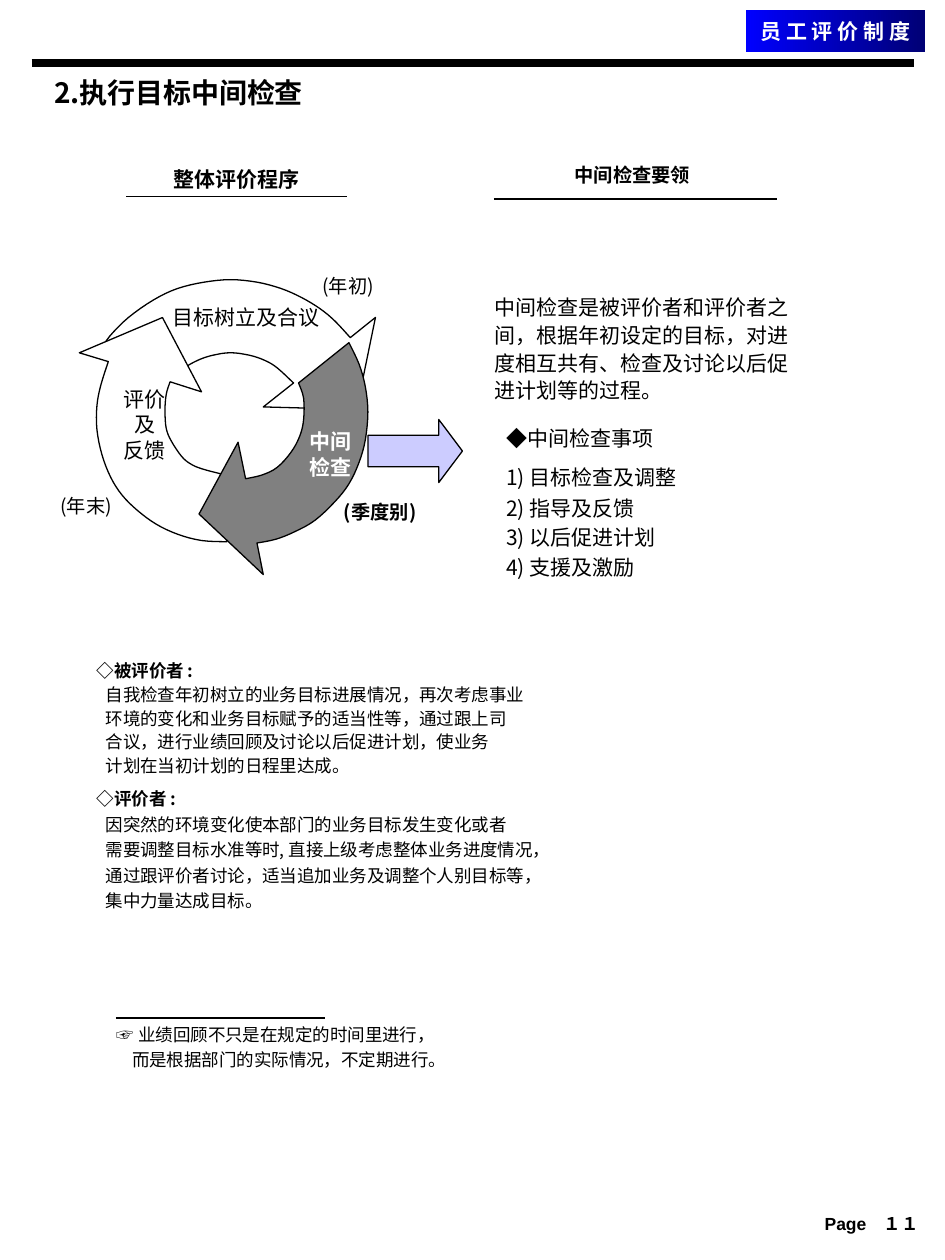
from lxml.etree import SubElement
from pptx import Presentation
from pptx.dml.color import RGBColor
from pptx.enum.shapes import MSO_CONNECTOR, MSO_SHAPE
from pptx.enum.text import MSO_ANCHOR, MSO_AUTO_SIZE, PP_ALIGN
from pptx.oxml.ns import qn
from pptx.util import Inches, Pt

THEME = {
    "cjk": "Noto Sans CJK KR", "badge_font": "Noto Sans CJK SC", "latin": "Arial",
    "black": "000000", "white": "FFFFFF", "gray": "808080", "lilac": "CCCCFF",
    "navy": "000075", "blue": "0000FF",
    "title": 16, "body": 12, "label": 11, "note": 10,
    "hair": 0.75, "thin": 1, "thick": 4.5,
}
ALIGN = {"l": PP_ALIGN.LEFT, "c": PP_ALIGN.CENTER, "r": PP_ALIGN.RIGHT}

TITLE = "2.执行目标中间检查"
BADGE = "员 工 评 价 制 度"

RULES = [
    (0.25, 0.5, 7.25, "thick"),
    (1, 1.56, 2.75, "hair"),
    (3.92, 1.58, 6.17, "thin"),
    (0.92, 8.08, 2.58, "hair"),
]

GOAL_SETTING = {
    "outer": [(2.78, 2.68), (2.66, 2.55), (2.54, 2.45), (2.39, 2.36), (2.23, 2.29),
              (2.04, 2.24), (1.83, 2.22), (1.62, 2.24), (1.41, 2.29), (1.22, 2.38),
              (1.02, 2.52), (0.87, 2.67), (0.8, 2.78)],
    "head": [(1.13, 2.65)],
    "inner": [(1.35, 3.03), (1.45, 2.93), (1.57, 2.86), (1.69, 2.82), (1.83, 2.8),
              (1.98, 2.82), (2.1, 2.86), (2.2, 2.92), (2.33, 3.04)],
    "tail": [(2.09, 3.23), (2.83, 3.25), (2.98, 2.52)],
    "fill": None,
}
FEEDBACK = {
    "outer": [(1.8, 4.3), (1.6, 4.29), (1.41, 4.24), (1.24, 4.16), (1.09, 4.05),
              (0.97, 3.93), (0.88, 3.79), (0.81, 3.61), (0.77, 3.41), (0.77, 3.22),
              (0.8, 3.06), (0.86, 2.87)],
    "head": [(0.63, 2.8), (1.29, 2.52), (1.6, 3.11)],
    "inner": [(1.35, 3.03), (1.32, 3.13), (1.31, 3.26), (1.32, 3.4), (1.36, 3.5),
              (1.44, 3.62), (1.51, 3.68), (1.6, 3.72), (1.75, 3.76)],
    "tail": [],
    "fill": "white",
}
MID_CHECK = {
    "outer": [(2.77, 2.72), (2.85, 2.89), (2.9, 3.07), (2.92, 3.27), (2.9, 3.49),
              (2.85, 3.67), (2.77, 3.84), (2.66, 3.98), (2.5, 4.13), (2.34, 4.22),
              (2.19, 4.28), (2.04, 4.31)],
    "head": [(2.09, 4.56), (1.58, 4.08), (1.89, 3.51)],
    "inner": [(1.95, 3.8), (2.08, 3.77), (2.2, 3.71), (2.31, 3.59), (2.38, 3.46),
              (2.41, 3.33), (2.41, 3.16), (2.37, 3.04)],
    "tail": [],
    "fill": "gray",
}

STAGES = [
    ((1.5, 2.28, 0.91, 0.47), ["目标树立及合议"], {}),
    ((0.65, 3.08, 1, 0.58), ["评价", "及", "反馈"], {}),
    ((2.17, 3.37, 0.9, 0.47), ["中间", "检查"], {"color": "white", "bold": True}),
]

CAPTIONS = [
    ((1.1, 1.27, 1.56, 0.3), "整体评价程序", {"size": "body", "bold": True, "align": "c"}),
    ((3.92, 1.25, 2.2, 0.29), "中间检查要领", {"size": "label", "bold": True, "align": "c"}),
    ((2.46, 2.13, 0.73, 0.29), "(年初)", {"size": "label", "wrap": False}),
    ((0.38, 3.87, 0.73, 0.29), "(年末)", {"size": "label", "wrap": False}),
    ((2.63, 3.92, 0.88, 0.29), "(季度别)", {"size": "label", "bold": True, "wrap": False}),
    ((5.83, 9.58, 1.56, 0.25), "Page　１１",
     {"size": "note", "bold": True, "align": "r", "font": "latin"}),
]

INTRO = "中间检查是被评价者和评价者之间，根据年初设定的目标，对进度相互共有、检查及讨论以后促进计划等的过程。"
CHECK_ITEMS = [
    ("◆中间检查事项", 1),
    ("1) 目标检查及调整", 1),
    ("2) 指导及反馈", 0.7),
    ("3) 以后促进计划", 0.6),
    ("4) 支援及激励", 0.7),
]
ROLES = [
    ("◇被评价者 :", 0.6, [
        "自我检查年初树立的业务目标进展情况，再次考虑事业",
        "环境的变化和业务目标赋予的适当性等，通过跟上司",
        "合议，进行业绩回顾及讨论以后促进计划，使业务",
        "计划在当初计划的日程里达成。"]),
    ("◇评价者 :", 0.7, [
        "因突然的环境变化使本部门的业务目标发生变化或者",
        "需要调整目标水准等时, 直接上级考虑整体业务进度情况，",
        "通过跟评价者讨论，适当追加业务及调整个人别目标等，",
        "集中力量达成目标。"]),
]
FOOTNOTE = [
    ("☞ 业绩回顾不只是在规定的时间里进行，", 1, 0),
    ("而是根据部门的实际情况，不定期进行。", 0.6, 0.12),
]


def rgb(name):
    return RGBColor.from_string(THEME[name])


def write(tf, lines, size="body", color="black", bold=False, align="l",
          font="cjk", wrap=True, before=0, anchor=MSO_ANCHOR.TOP):
    tf.word_wrap = wrap
    tf.auto_size = MSO_AUTO_SIZE.NONE
    tf.vertical_anchor = anchor
    tf.margin_left = tf.margin_right = Inches(0.1)
    tf.margin_top = tf.margin_bottom = Inches(0.05)
    for i, line in enumerate(lines):
        p = tf.add_paragraph() if i else tf.paragraphs[0]
        p.alignment = ALIGN[align]
        p.line_spacing = line.get("spacing", 1)
        p.space_before = Pt(before if i else 0)
        if line.get("indent"):
            p._p.get_or_add_pPr().set("marL", str(Inches(line["indent"])))
        r = p.add_run()
        r.text = line["text"]
        r.font.size = Pt(THEME[size])
        r.font.bold = line.get("bold", bold)
        r.font.color.rgb = rgb(color)
        r.font.name = THEME[font]
        SubElement(r._r.get_or_add_rPr(), qn("a:ea")).set("typeface", THEME[font])


def add_text(s, box, lines, **style):
    write(s.shapes.add_textbox(*map(Inches, box)).text_frame, lines, **style)


def paint(sp, fill=None, line=None):
    sp.shadow.inherit = False
    if fill:
        sp.fill.solid()
        sp.fill.fore_color.rgb = rgb(fill)
    else:
        sp.fill.background()
    if line:
        sp.line.color.rgb = rgb(line)
        sp.line.width = Pt(THEME["hair"])
    else:
        sp.line.fill.background()


def add_rule(s, x1, y, x2, weight):
    ln = s.shapes.add_connector(MSO_CONNECTOR.STRAIGHT, *map(Inches, (x1, y, x2, y)))
    ln.line.color.rgb = rgb("black")
    ln.line.width = Pt(THEME[weight])
    SubElement(ln._element.spPr, qn("a:effectLst"))


def smooth(pts, steps=4):
    ends = [pts[0], *pts, pts[-1]]
    curve = []
    for a, b, c, d in zip(ends, ends[1:], ends[2:], ends[3:]):
        for t in (k / steps for k in range(steps)):
            curve.append(tuple(
                (2 * q + (r - p) * t + (2 * p - 5 * q + 4 * r - u) * t ** 2
                 + (3 * q - p - 3 * r + u) * t ** 3) / 2
                for p, q, r, u in zip(a, b, c, d)))
    return curve + [pts[-1]]


def add_arc(s, arc):
    pts = smooth(arc["outer"]) + arc["head"] + smooth(arc["inner"]) + arc["tail"]
    pts = [(Inches(x), Inches(y)) for x, y in pts]
    fb = s.shapes.build_freeform(*pts[0])
    fb.add_line_segments(pts[1:], close=True)
    paint(fb.convert_to_shape(), arc["fill"], "black")


def main():
    prs = Presentation()
    prs.slide_width, prs.slide_height = Inches(7.5), Inches(10)
    s = prs.slides.add_slide(prs.slide_layouts[5])

    title = s.shapes.title
    title.left, title.top, title.width, title.height = map(Inches, (0.33, 0.55, 3.08, 0.37))
    write(title.text_frame, [{"text": TITLE}], size="title", bold=True)

    badge = s.shapes.add_shape(MSO_SHAPE.RECTANGLE, *map(Inches, (5.92, 0.08, 1.42, 0.33)))
    paint(badge)
    badge.fill.gradient()
    badge.fill.gradient_angle = 180
    for stop, name in zip(badge.fill.gradient_stops, ("navy", "blue")):
        stop.color.rgb = rgb(name)
    write(badge.text_frame, [{"text": BADGE}], color="white", bold=True, align="c",
          font="badge_font", wrap=False, anchor=MSO_ANCHOR.MIDDLE)

    for rule in RULES:
        add_rule(s, *rule)

    add_arc(s, GOAL_SETTING)
    arrow = s.shapes.add_shape(MSO_SHAPE.RIGHT_ARROW, *map(Inches, (2.92, 3.33, 0.75, 0.5)))
    arrow.adjustments[0], arrow.adjustments[1] = 0.5, 0.375
    paint(arrow, "lilac", "black")
    add_arc(s, FEEDBACK)
    add_arc(s, MID_CHECK)

    for box, words, style in STAGES:
        sp = s.shapes.add_shape(MSO_SHAPE.OVAL, *map(Inches, box))
        paint(sp)
        write(sp.text_frame, [{"text": w} for w in words], align="c", wrap=False,
              anchor=MSO_ANCHOR.MIDDLE, **style)

    for box, text, style in CAPTIONS:
        add_text(s, box, [{"text": text}], **style)

    add_text(s, (3.83, 2.27, 2.58, 0.98), [{"text": INTRO, "spacing": 1.1}])
    add_text(s, (3.92, 3.33, 2.33, 1.32),
             [{"text": t, "spacing": ls} for t, ls in CHECK_ITEMS], before=7.5)

    roles = []
    for head, spacing, lines in ROLES:
        roles.append({"text": head, "spacing": 1.1, "bold": True})
        roles += [{"text": t, "spacing": spacing, "indent": 0.07} for t in lines]
    add_text(s, (0.67, 5.17, 4, 2.12), roles, size="note", before=6.2)
    add_text(s, (0.83, 8.08, 4.25, 0.46),
             [{"text": t, "spacing": ls, "indent": ind} for t, ls, ind in FOOTNOTE],
             size="note", before=6.2)

    prs.save("out.pptx")


if __name__ == "__main__":
    main()
